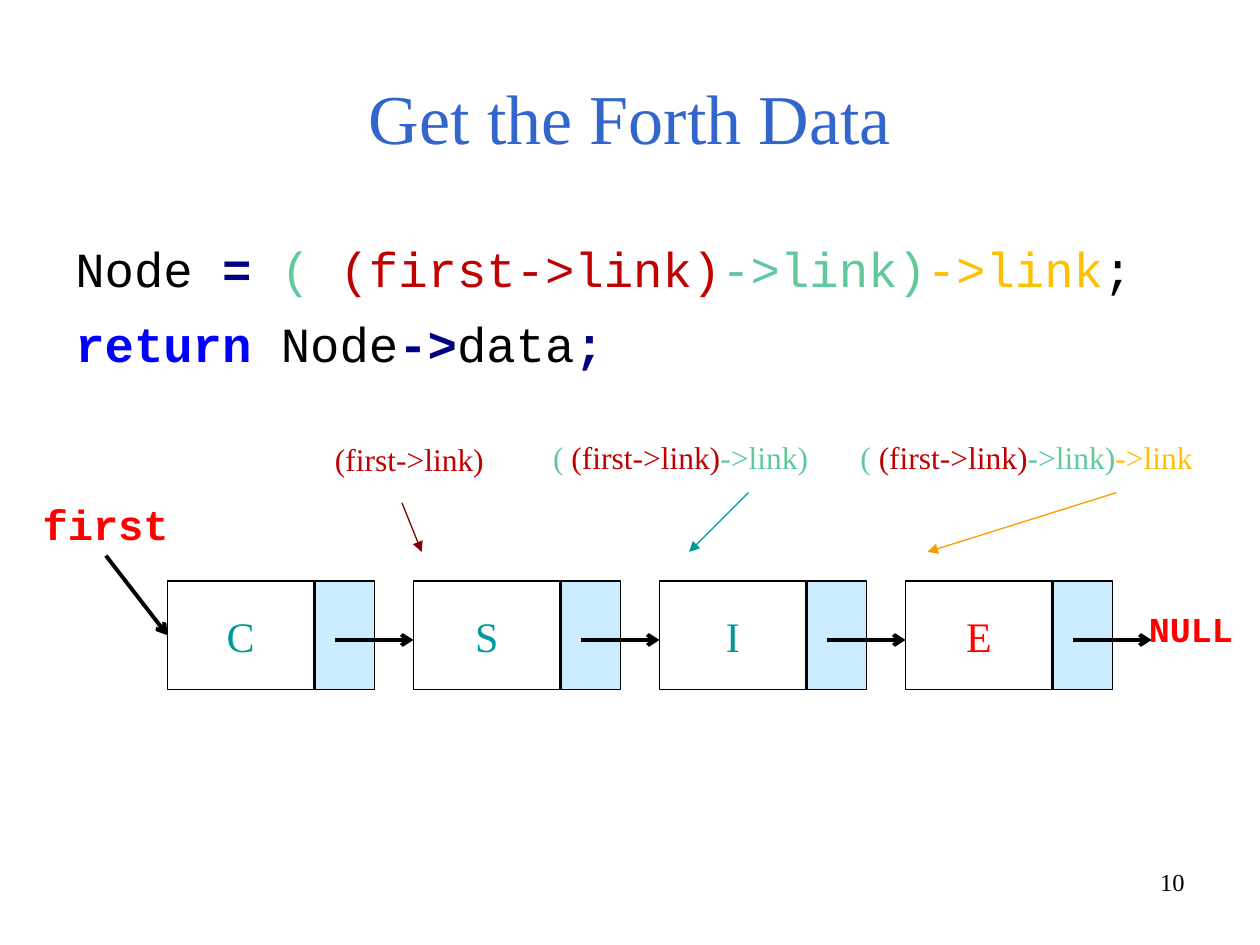
from dataclasses import dataclass

from lxml import etree
from pptx import Presentation
from pptx.dml.color import RGBColor
from pptx.enum.shapes import MSO_CONNECTOR, MSO_SHAPE
from pptx.enum.text import MSO_ANCHOR, MSO_AUTO_SIZE, PP_ALIGN
from pptx.oxml.ns import qn
from pptx.util import Pt

LEFT, MID, RIGHT = PP_ALIGN.LEFT, PP_ALIGN.CENTER, PP_ALIGN.RIGHT
CENTER = MSO_ANCHOR.MIDDLE
GROW = MSO_AUTO_SIZE.SHAPE_TO_FIT_TEXT
RECT, LINE = MSO_SHAPE.RECTANGLE, MSO_CONNECTOR.STRAIGHT
SERIF, MONO = "Times New Roman", "Courier New"
BLACK, NAVY, BLUE, RED = "000000", "000080", "0000FF", "FF0000"
WINE, GREEN, GOLD, TEAL = "C00000", "60C99C", "FFC000", "009999"


@dataclass
class Run:
    text: str
    color: str
    bold: bool = False


@dataclass
class Label:
    left: float
    top: float
    width: float
    height: float
    runs: list[Run]
    size: float
    face: str = SERIF
    align: PP_ALIGN = LEFT
    wrap: bool = False


@dataclass
class Arrow:
    start: tuple[float, float]
    end: tuple[float, float]
    color: str = BLACK
    width: float = 2.25
    head: str = "arrow"


@dataclass
class Node:
    text: str
    color: str


def rgb(code: str) -> RGBColor:
    return RGBColor.from_string(code)


def write(para, runs: list[Run], size: float, face: str, align=LEFT) -> None:
    para.alignment = align
    for part in runs:
        run = para.add_run()
        run.text = part.text
        font = run.font
        font.name, font.size, font.bold = face, Pt(size), part.bold
        font.color.rgb = rgb(part.color)


def add_label(slide, item: Label):
    box = slide.shapes.add_textbox(
        Pt(item.left), Pt(item.top), Pt(item.width), Pt(item.height))
    frame = box.text_frame
    frame.word_wrap = item.wrap
    if not item.wrap:
        frame.auto_size = GROW
    write(frame.paragraphs[0], item.runs, item.size, item.face, item.align)
    return box


def add_arrow(slide, item: Arrow):
    line = slide.shapes.add_connector(
        LINE, *(Pt(value) for value in item.start + item.end))
    line.line.color.rgb = rgb(item.color)
    line.line.width = Pt(item.width)
    tail = etree.SubElement(line.line._get_or_add_ln(), qn("a:tailEnd"))
    tail.set("type", item.head)
    etree.SubElement(line._element.spPr, qn("a:effectLst"))
    return line


def add_cell(slide, left: float, width: float, fill: str | None = None):
    cell = slide.shapes.add_shape(RECT, Pt(left), Pt(332), Pt(width), Pt(62))
    cell.shadow.inherit = False
    if fill:
        cell.fill.solid()
        cell.fill.fore_color.rgb = rgb(fill)
    else:
        cell.fill.background()
    cell.line.color.rgb = rgb(BLACK)
    cell.line.width = Pt(1)
    return cell


def add_node(slide, left: float, node: Node):
    add_cell(slide, left + 84.3, 34, "CCECFF")
    data = add_cell(slide, left, 83.7)
    frame = data.text_frame
    frame.word_wrap = False
    frame.vertical_anchor = CENTER
    write(frame.paragraphs[0], [Run(node.text, node.color)], 24, SERIF, MID)
    add_arrow(slide, Arrow((left + 95.6, 365.7), (left + 140.6, 365.7)))
    return data


def main() -> None:
    deck = Presentation()
    deck.slide_width, deck.slide_height = Pt(720), Pt(540)
    slide = deck.slides.add_slide(deck.slide_layouts[5])

    # Title
    title = slide.shapes.title
    title.left, title.top = Pt(36), Pt(21.6)
    title.width, title.height = Pt(648), Pt(90)
    title.text_frame.vertical_anchor = CENTER
    write(title.text_frame.paragraphs[0],
          [Run("Get the Forth Data", "3366CC")], 40, SERIF, MID)

    # Expressions that follow one link more each time
    one = [Run("(first->link)", WINE)]
    two = [Run("( ", GREEN), *one, Run("->link)", GREEN)]
    three = [*two, Run("->link", GOLD)]

    # Code
    code = add_label(slide, Label(
        36, 133, 648, 349,
        [Run("Node ", BLACK), Run("= ", NAVY, True), *three, Run(";", BLACK)],
        28, MONO, wrap=True))
    para = code.text_frame.add_paragraph()
    para.space_before = Pt(9)
    write(para, [Run("return", BLUE, True), Run(" Node", BLACK),
                 Run("->", NAVY, True), Run("data", BLACK),
                 Run(";", NAVY, True)], 28, MONO)

    # Linked list
    nodes = [Node("C", TEAL), Node("S", TEAL), Node("I", TEAL), Node("E", RED)]
    cells = [add_node(slide, 95.7 + 140.6 * i, node)
             for i, node in enumerate(nodes)]

    # Start and end of the list
    first = add_label(slide, Label(
        17.3, 281.5, 86.4, 36, [Run("first", RED, True)], 24, MONO))
    enter = add_arrow(slide, Arrow((60.5, 317.5), (95.7, 363)))
    enter.begin_connect(first, 2)
    enter.end_connect(cells[0], 1)
    add_label(slide, Label(
        649.4, 343.5, 70.6, 31.7, [Run("NULL", RED, True)], 20, MONO,
        wrap=True))

    # Pointers from the expressions to their nodes
    for start, end, color in [
        ((229.7, 287.3), (241, 315.4), "800000"),
        ((427.7, 281.5), (393.8, 315.4), TEAL),
        ((638, 281.5), (530, 315.4), "FF9900"),
    ]:
        add_arrow(slide, Arrow(start, end, color, 0.75, "triangle"))
    for left, top, width, runs in [
        (184.3, 247.7, 99.4, one),
        (309, 247, 160, two),
        (484.6, 247, 204.5, three),
    ]:
        add_label(slide, Label(left, top, width, 28.8, runs, 18))

    # Page number
    add_label(slide, Label(
        516.2, 491.8, 167.8, 37.4, [Run("10", BLACK)], 14, SERIF, RIGHT, True))

    deck.save("out.pptx")


if __name__ == "__main__":
    main()
